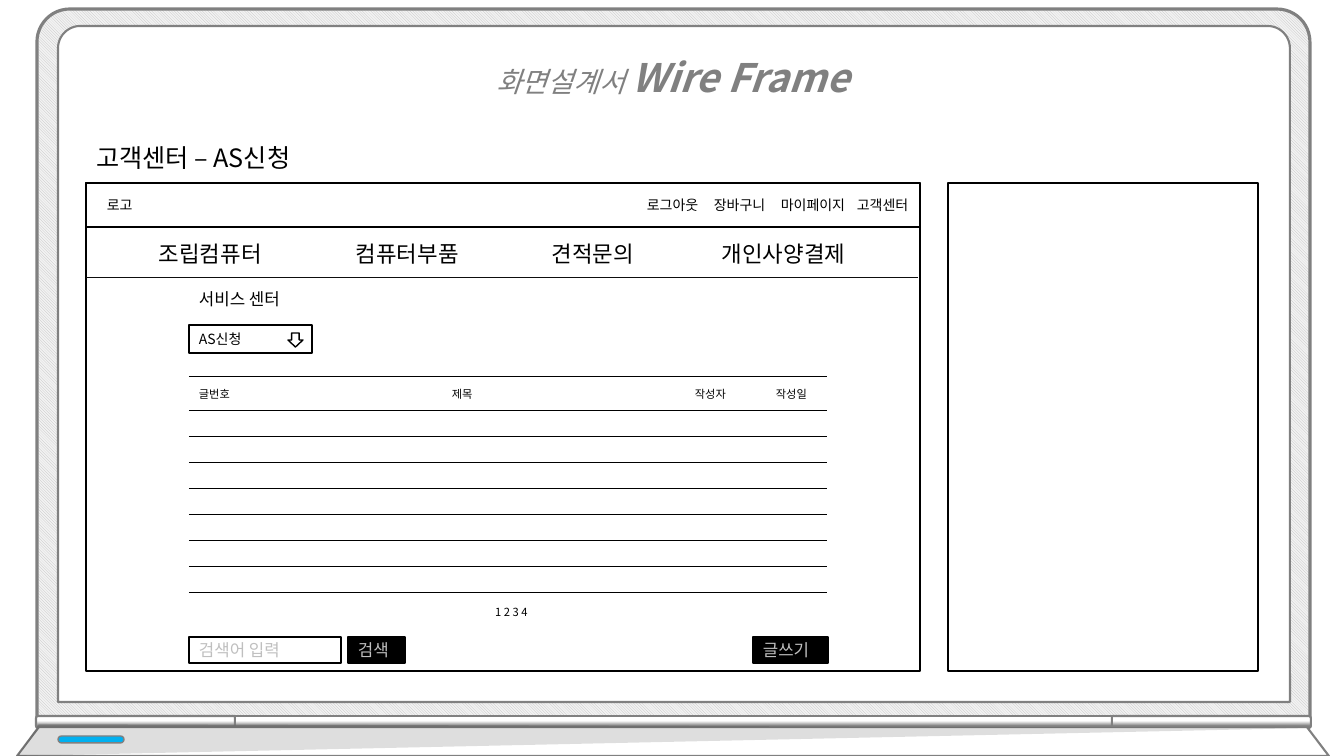
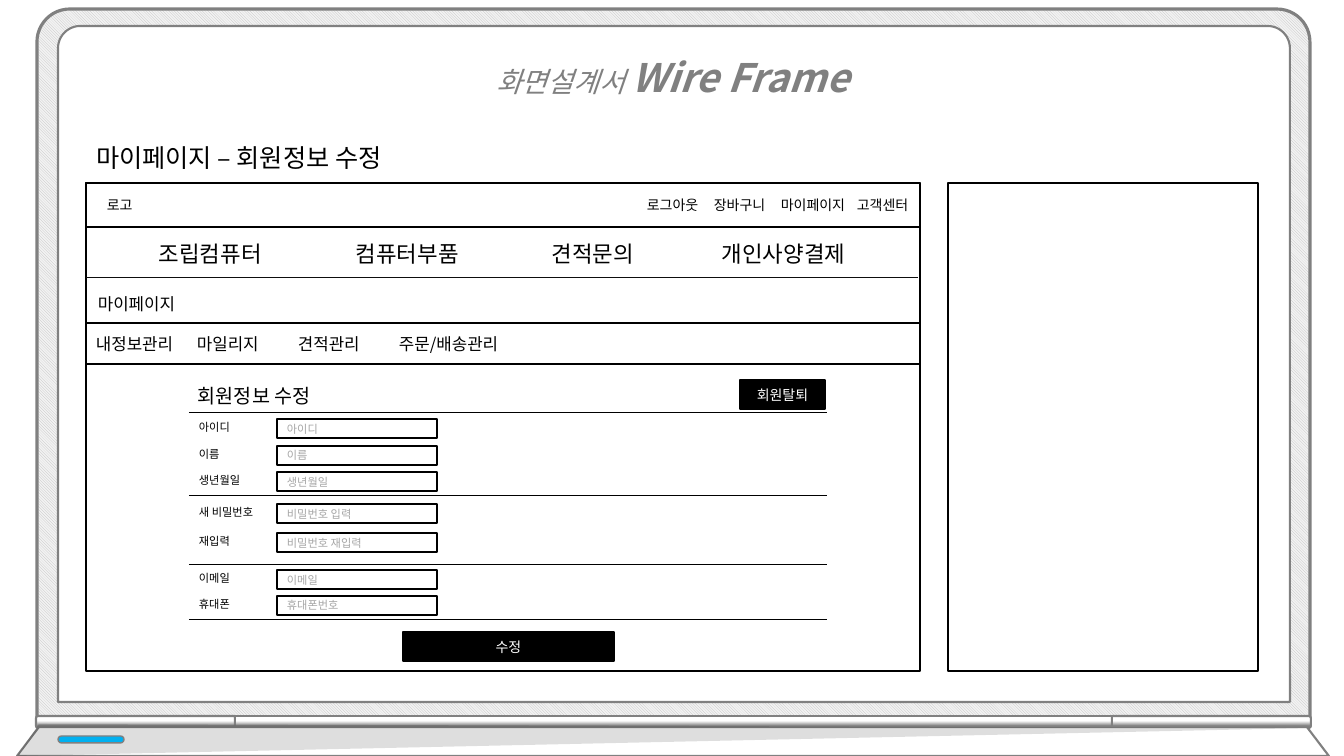
from lxml import etree
from pptx import Presentation
from pptx.dml.color import RGBColor
from pptx.enum.dml import MSO_PATTERN
from pptx.enum.shapes import MSO_CONNECTOR, MSO_SHAPE as SHAPE
from pptx.enum.text import MSO_ANCHOR as ANCHOR, MSO_AUTO_SIZE, PP_ALIGN as ALIGN
from pptx.oxml.ns import qn
from pptx.util import Emu, Pt

# Scale, font and colours
WIDTH, HEIGHT = 1344, 756
SCALE = 12192000 / WIDTH
FONT = "Noto Sans CJK KR"
BLACK = RGBColor(0x00, 0x00, 0x00)
WHITE = RGBColor(0xFF, 0xFF, 0xFF)
INK = RGBColor(0x0D, 0x0D, 0x0D)
GRAY = RGBColor(0x80, 0x80, 0x80)
HINT = RGBColor(0xA6, 0xA6, 0xA6)
SILVER = RGBColor(0xBF, 0xBF, 0xBF)
PALE = RGBColor(0xF2, 0xF2, 0xF2)
BLUE = RGBColor(0x00, 0xB0, 0xF0)

# Shared content: text and left edge
HEADING = [
    ("화면설계서 ", dict(size=Pt(20), italic=True)),
    ("Wire Frame", dict(size=Pt(28), italic=True, bold=True)),
]
LINKS = [("로그아웃", 637), ("장바구니", 704), ("마이페이지", 771), ("고객센터", 847)]
MENU = [("조립컴퓨터", 149), ("컴퓨터부품", 346), ("견적문의", 542), ("개인사양결제", 712)]

# Shared places: left, top, width, height
PANEL = (86, 183, 834, 488)
SIDE_PANEL = (948, 183, 310, 488)
HEADER = (86, 183, 834, 44)
HINGES = [(36, 199, 270), (235, 877, 270), (1112, 199, 90)]  # left, length, turn
BODY_LEFT, BODY_RIGHT = 189, 827

# Service centre content
SERVICE_TITLE = "고객센터 – AS신청"
COLUMNS = [("글번호", 189), ("제목", 442), ("작성자", 685), ("작성일", 766)]
BOARD_TOP, FIRST_ROW, ROW_HEIGHT, ROWS = 376, 410, 26, 7
SERVICE_BOXES = [
    ("AS신청", (189, 325, 123, 28), 10, BLACK, WHITE),
    ("검색어 입력", (189, 637, 152, 26), 12, SILVER, WHITE),
    ("검색", (348, 637, 57, 26), 12, SILVER, BLACK),
    ("글쓰기", (753, 637, 75, 26), 12, SILVER, BLACK),
]

# Member details content
MEMBER_TITLE = "마이페이지 – 회원정보 수정"
TABS = ["내정보관리", "마일리지", "견적관리", "주문/배송관리"]
TAB_STEP = 101
FIELDS = [
    ("아이디", "아이디", 419),
    ("이름", "이름", 446),
    ("생년월일", "생년월일", 472),
    ("새 비밀번호", "비밀번호 입력", 504),
    ("재입력", "비밀번호 재입력", 533),
    ("이메일", "이메일", 570),
    ("휴대폰", "휴대폰번호", 596),
]
FORM_RULES = [412, 495, 564, 619]
MEMBER_BUTTONS = [("수정", (403, 632, 211, 29)), ("회원탈퇴", (740, 380, 85, 29))]


def px(value):
    return Emu(round(value * SCALE))


def write(box, spans, color=BLACK, align=ALIGN.LEFT, anchor=ANCHOR.TOP):
    """Fill a box with one paragraph of (text, format) spans."""
    frame = box.text_frame
    layout = dict(word_wrap=True, auto_size=MSO_AUTO_SIZE.NONE, vertical_anchor=anchor)
    for name, value in layout.items():
        setattr(frame, name, value)
    para = frame.paragraphs[0]
    para.alignment = align
    for text, style in spans:
        span = para.add_run()
        span.text = text
        for name, value in dict(style, name=FONT).items():
            setattr(span.font, name, value)
        span.font.color.rgb = color
        east_asian = etree.SubElement(span.font._element, qn("a:ea"))
        east_asian.set("typeface", FONT)
    return para


def add_text(page, text, place, size, **style):
    box = page.shapes.add_textbox(*map(px, place))
    return write(box, [(text, dict(size=Pt(size)))], **style)


def paint(shape, fill=WHITE, line=BLACK, width=1.0):
    shape.shadow.inherit = False
    if fill is not None:
        shape.fill.solid()
        shape.fill.fore_color.rgb = fill
    if line is None:
        shape.line.fill.background()
    else:
        shape.line.color.rgb = line
        shape.line.width = Pt(width)
    return shape


def add_shape(shapes, kind, place, adjust=(), **style):
    shape = paint(shapes.add_shape(kind, *map(px, place)), **style)
    for index, value in enumerate(adjust):
        shape.adjustments[index] = value
    return shape


def add_box(page, text, place, size, color, fill, align=ALIGN.LEFT):
    box = add_shape(page.shapes, SHAPE.RECTANGLE, place, fill=fill)
    return write(box, [(text, dict(size=Pt(size)))], color, align, ANCHOR.MIDDLE)


def add_rule(page, y, left=BODY_LEFT, right=BODY_RIGHT, color=BLACK):
    rule = page.shapes.add_connector(
        MSO_CONNECTOR.STRAIGHT, px(left), px(y), px(right), px(y))
    rule.line.color.rgb = color
    rule.line.width = Pt(0.5)
    etree.SubElement(rule._element.spPr, qn("a:effectLst"))


def add_outline(shapes, points, **style):
    builder = shapes.build_freeform(*points[0], scale=SCALE)
    builder.add_line_segments(points[1:], close=True)
    return paint(builder.convert_to_shape(), **style)


def add_laptop(page):
    parts = page.shapes.add_group_shape().shapes
    # Lid and screen
    lid = add_shape(parts, SHAPE.ROUND_2_SAME_RECTANGLE, (37, 9, 1273, 715),
                    (0.046, 0), fill=None, line=GRAY, width=2.25)
    lid.fill.patterned()
    lid.fill.pattern = MSO_PATTERN.LIGHT_DOWNWARD_DIAGONAL
    lid.fill.fore_color.rgb = SILVER
    lid.fill.back_color.rgb = PALE
    add_shape(parts, SHAPE.ROUND_2_SAME_RECTANGLE, (58, 26, 1232, 676),
              (0.033, 0), line=GRAY, width=1.5)
    # Hinges: upright bars turned about their centres
    for left, length, turn in HINGES:
        place = (left + length / 2 - 6, 722 - length / 2, 12, length)
        rounding = 0 if length > 199 else 0.193
        hinge = add_shape(parts, SHAPE.ROUND_2_SAME_RECTANGLE, place,
                          (rounding, 0), fill=None, line=GRAY, width=1.5)
        hinge.rotation = turn
        if turn == 90:
            hinge._element.spPr.find(qn("a:xfrm")).set("flipH", "1")
        hinge.fill.gradient()
        hinge.fill.gradient_angle = 0
        stops = [(0.17, GRAY), (0.59, WHITE)]
        for stop, (position, color) in zip(hinge.fill.gradient_stops, stops):
            stop.position = position
            stop.color.rgb = color
    # Base, its shade and the lamp
    add_outline(parts, [(39, 727), (1307, 727), (1329, 756), (17, 756)],
                line=GRAY, width=1.5)
    shade = add_outline(parts, [(39, 724), (17, 756), (1312, 728)],
                        fill=BLACK, line=None)
    color = shade._element.spPr.find(qn("a:solidFill"))[0]
    etree.SubElement(color, qn("a:alpha")).set("val", "13000")
    add_shape(parts, SHAPE.ROUNDED_RECTANGLE, (58, 736, 66, 7), (0.5,),
              fill=BLUE, line=GRAY)


def add_page(deck, title):
    page = deck.slides.add_slide(deck.slide_layouts[5])
    add_laptop(page)
    for place in (PANEL, SIDE_PANEL, HEADER):
        add_shape(page.shapes, SHAPE.RECTANGLE, place)
    # Site header and menu
    add_text(page, "로고", (97, 192, 243, 27), 10)
    for text, left in LINKS:
        add_text(page, text, (left, 192, 90, 27), 10)
    for text, left in MENU:
        add_text(page, text, (left, 235, 160, 37), 16)
    add_rule(page, 277, 86, 918, INK)
    # Deck heading and page title, in front of the screen
    heading = page.shapes.add_textbox(*map(px, (370, 25, 605, 82)))
    write(heading, HEADING, GRAY, ALIGN.CENTER).line_spacing = 1.5
    box = page.shapes.title
    box.left, box.top, box.width, box.height = map(px, (86, 137, 352, 40))
    write(box, [(title, dict(size=Pt(18)))])
    page.shapes.element.append(box.element)
    return page


def add_service_page(deck):
    page = add_page(deck, SERVICE_TITLE)
    add_text(page, "서비스 센터", (189, 284, 123, 30), 12)
    # Board
    lines = [FIRST_ROW + ROW_HEIGHT * row for row in range(ROWS + 1)]
    for y in [BOARD_TOP] + lines:
        add_rule(page, y)
    for text, left in COLUMNS:
        add_text(page, text, (left, 382, 60, 24), 8)
    add_text(page, "1 2 3 4", (382, 600, 259, 24), 8, align=ALIGN.CENTER)
    # Selector, search and buttons
    for box in SERVICE_BOXES:
        add_box(page, *box)
    add_shape(page.shapes, SHAPE.DOWN_ARROW, (288, 333, 15, 14))


def add_member_page(deck):
    page = add_page(deck, MEMBER_TITLE)
    add_text(page, "마이페이지", (88, 289, 229, 30), 12)
    # Tab bar
    para = add_box(page, "\t".join(TABS), (86, 323, 834, 41), 12, BLACK, WHITE)
    stops = etree.SubElement(para._p.get_or_add_pPr(), qn("a:tabLst"))
    for index in range(1, len(TABS)):
        stop = etree.SubElement(stops, qn("a:tab"))
        stop.set("pos", str(px(TAB_STEP * index)))
        stop.set("algn", "l")
    # Form
    add_text(page, "회원정보 수정", (188, 379, 180, 34), 14)
    for y in FORM_RULES:
        add_rule(page, y)
    for label, hint, top in FIELDS:
        add_text(page, label, (189, top - 4, 88, 24), 8)
        add_box(page, hint, (277, top, 160, 19), 8, HINT, WHITE)
    for text, place in MEMBER_BUTTONS:
        add_box(page, text, place, 10, WHITE, BLACK, ALIGN.CENTER)


def main():
    deck = Presentation()
    deck.slide_width, deck.slide_height = px(WIDTH), px(HEIGHT)
    add_service_page(deck)
    add_member_page(deck)
    deck.save("out.pptx")


if __name__ == "__main__":
    main()
